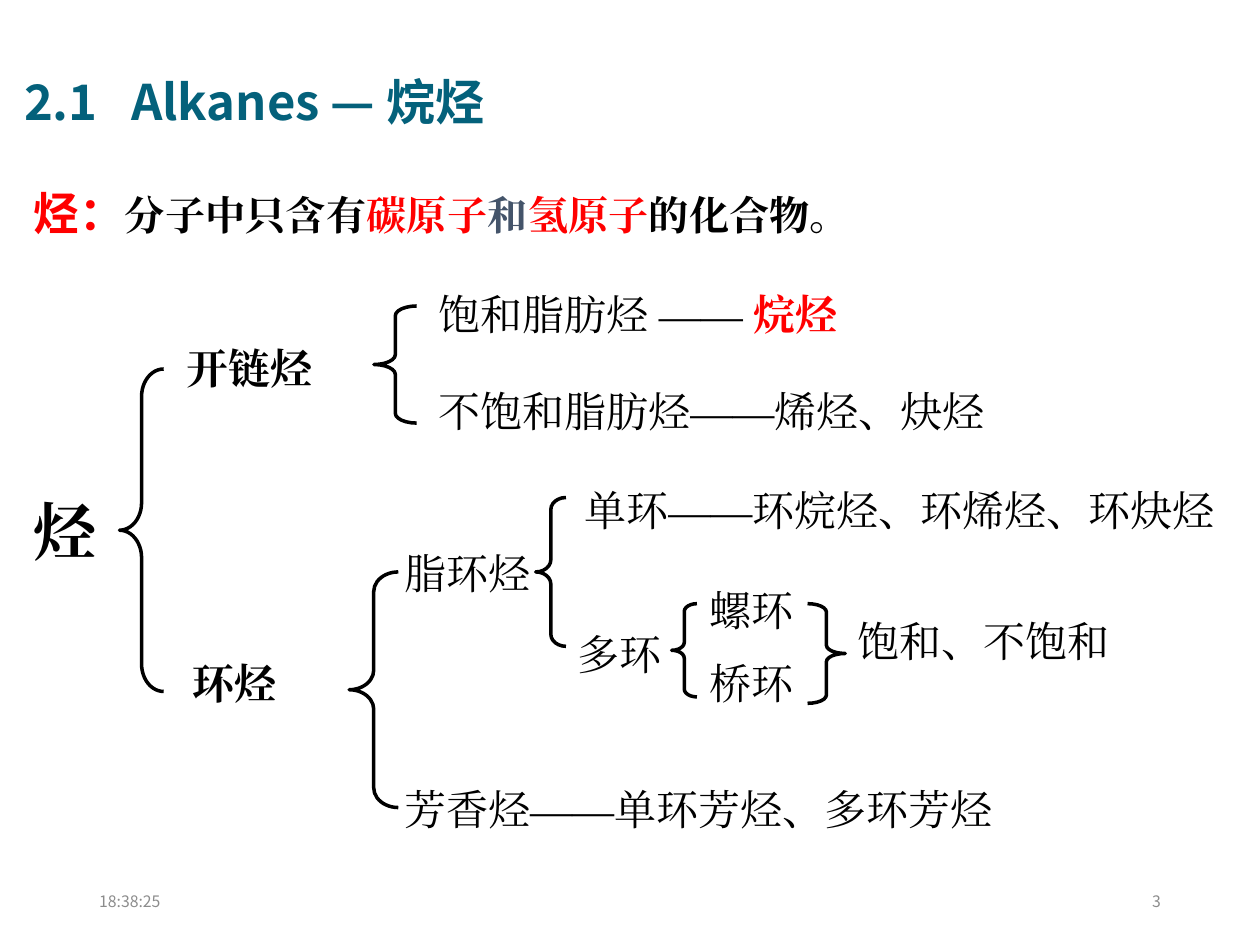
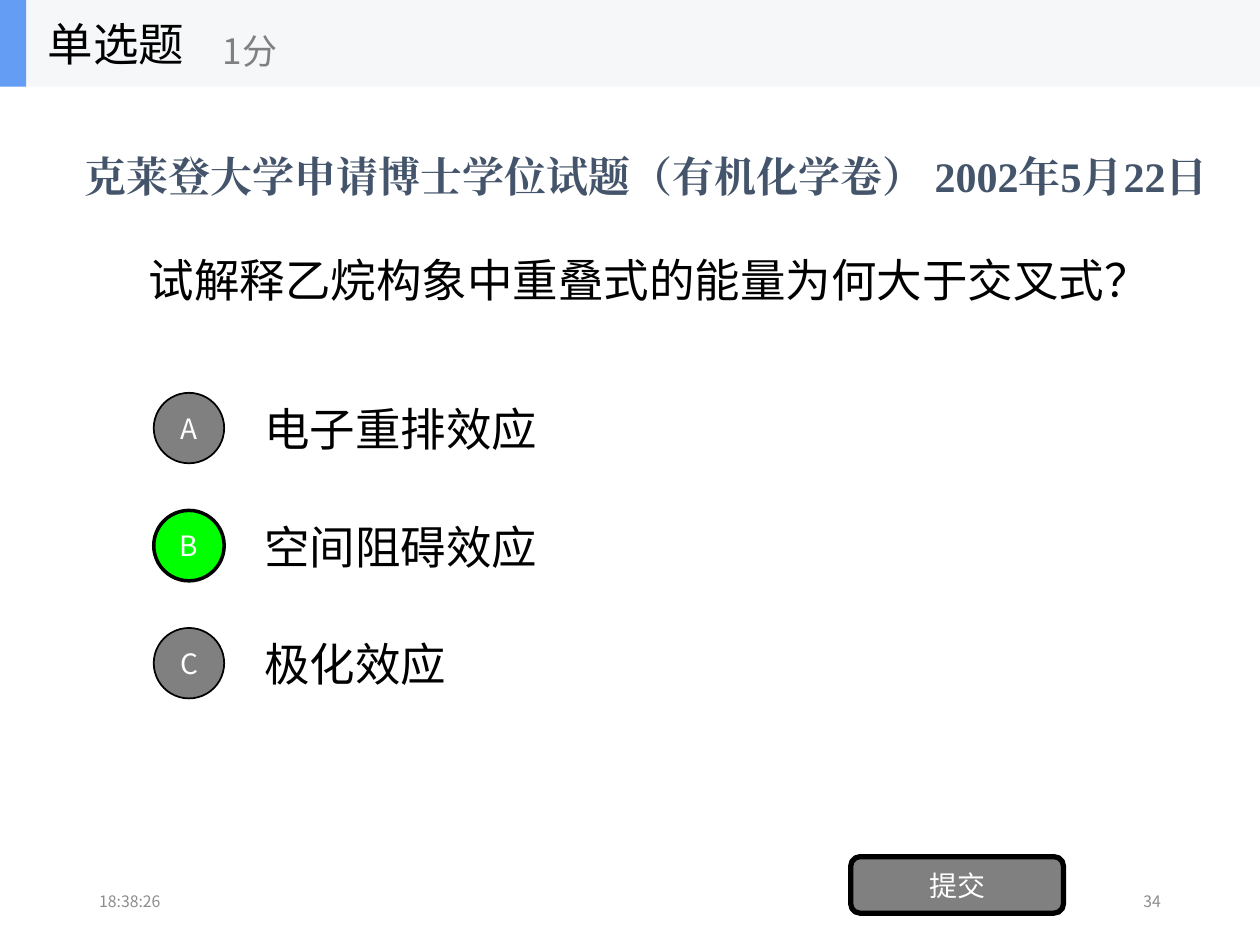
"""Build two organic chemistry slides: a hydrocarbon tree and a quiz."""
from lxml.etree import SubElement
from pptx import Presentation
from pptx.dml.color import RGBColor
from pptx.enum.shapes import MSO_SHAPE as Shape
from pptx.enum.text import MSO_ANCHOR as Anchor, MSO_AUTO_SIZE as Auto, PP_ALIGN as Align
from pptx.oxml.ns import qn
from pptx.util import Cm, Pt

SANS, SERIF = "Noto Sans CJK SC", "Times New Roman"
BLACK, WHITE, RED = "000000", "FFFFFF", "FF0000"
GRAY, SLATE, TEAL, GREEN = "808080", "44546A", "04617B", "00FF00"
PALE, BLUE, FOOT = "F6F7F8", "639EF4", "8C8C8C"

LABELS = [
    ("烃", (0.43, 9.8, 1.63, 1.78), 36, True),
    ("开链烃", (3.51, 6.78, 4.37, 1.27), 24, True),
    ("环烃", (3.63, 13.13, 3.71, 1.27), 24, True),
    ("脂环烃", (7.9, 10.92, 3.12, 1.27), 24, False),
    ("芳香烃——单环芳烃、多环芳烃", (7.9, 15.67, 15.27, 1.27), 24, False),
    ("单环——环烷烃、环烯烃、环炔烃", (11.53, 9.65, 13.39, 1.27), 24, False),
    ("多环", (11.4, 12.55, 2.49, 1.27), 24, False),
    ("饱和、不饱和", (17.04, 12.29, 5.87, 1.27), 24, False),
]
BRACES = [
    (Shape.LEFT_BRACE, (2.41, 7.44, 0.89, 6.5), 0.62),
    (Shape.LEFT_BRACE, (7.54, 6.17, 0.86, 2.36), 0.23),
    (Shape.LEFT_BRACE, (7.04, 11.53, 0.99, 4.75), 0.4),
    (Shape.LEFT_BRACE, (10.8, 10.03, 0.61, 3), 0.4),
    (Shape.LEFT_BRACE, (13.54, 12.17, 0.51, 1.88), 0.31),
    (Shape.RIGHT_BRACE, (16.28, 12.17, 0.76, 2.01), 0.22),
]
CHOICES = [("A", "电子重排效应", GRAY, 1), ("B", "空间阻碍效应", GREEN, 2),
           ("C", "极化效应", GRAY, 1)]


def rgb(code):
    return RGBColor.from_string(code)


def style(font, size, face=SANS, hue=BLACK, bold=False):
    font.size, font.name, font.bold = Pt(size), face, bold
    font.color.rgb = rgb(hue)
    props = font._rPr
    props.set("lang", "zh-CN")
    SubElement(props, qn("a:ea"), typeface=face)


def write(frame, rows, size, face=SANS, hue=BLACK, bold=False,
          align=Align.LEFT, anchor=Anchor.TOP, gap=0):
    """Fill a frame; a row is a string or a list of (text, style) runs."""
    frame.word_wrap, frame.auto_size = True, Auto.NONE
    frame.vertical_anchor = anchor
    for i, row in enumerate(rows):
        para = frame.paragraphs[0] if i == 0 else frame.add_paragraph()
        para.alignment = align
        para.space_before = Pt(gap if i else 0)
        if isinstance(row, str):
            para.add_run().text = row
            style(para.font, size, face, hue, bold)
            continue
        for words, look in row:
            run = para.add_run()
            run.text = words
            style(run.font, **{"size": size, "face": face, "hue": hue, "bold": bold, **look})


def label(slide, box, rows, size, **look):
    area = slide.shapes.add_textbox(*map(Cm, box))
    write(area.text_frame, rows, size, **look)


def title(slide, box, words, size, **look):
    head = slide.shapes.title
    head.left, head.top, head.width, head.height = map(Cm, box)
    write(head.text_frame, [words], size, **look)
    return head.text_frame.paragraphs[0]


def block(slide, kind, box, fill=None, line=0):
    item = slide.shapes.add_shape(kind, *map(Cm, box))
    item.shadow.inherit = False
    if fill:
        item.fill.solid()
        item.fill.fore_color.rgb = rgb(fill)
    else:
        item.fill.background()
    if line:
        item.line.color.rgb = rgb(BLACK)
        item.line.width = Pt(line)
    else:
        item.line.fill.background()
    return item


def button(slide, kind, box, words, fill, line):
    item = block(slide, kind, box, fill, line)
    frame = item.text_frame
    frame.margin_left = frame.margin_right = 0
    write(frame, [words], 16, hue=WHITE, align=Align.CENTER, anchor=Anchor.MIDDLE)
    return item


def footer(slide, time, page):
    for left, words, align in ((1.75, time, Align.LEFT), (17.93, page, Align.RIGHT)):
        label(slide, (left, 17.65, 5.72, 1.02), [words], 9, hue=FOOT,
              align=align, anchor=Anchor.MIDDLE)


def tree(slide):
    para = title(slide, (0.23, 1.07, 10.57, 1.7), "2.1\tAlkanes — 烷烃", 28, hue=TEAL, bold=True)
    para.line_spacing = 1.2
    props = para._p.get_or_add_pPr()
    props.set("marL", str(Cm(2.16)))
    props.set("indent", str(-Cm(2.16)))

    red = {"hue": RED}
    label(slide, (0.43, 3.61, 17.9, 1.37), [[
        ("烃：", {"size": 26, "face": "Arial", "hue": RED}), ("分子中只含有", {}),
        ("碳原子", red), ("和", {"hue": SLATE}), ("氢原子", red), ("的化合物。", {}),
    ]], 23, face=SERIF, bold=True)
    for words, box, size, bold in LABELS:
        label(slide, box, [words], size, face=SERIF, bold=bold)
    label(slide, (8.59, 5.69, 12.37, 4.88), [
        [("饱和脂肪烃 —— ", {}), ("烷烃", {"hue": RED, "bold": True})],
        "不饱和脂肪烃——烯烃、炔烃",
    ], 24, face=SERIF, gap=26.5)
    label(slide, (14.05, 11.66, 2.62, 2.79), ["螺环", "桥环"], 24, face=SERIF, gap=13)
    for kind, box, bend in BRACES:
        brace = block(slide, kind, box, line=2)
        brace.adjustments[0] = bend
    footer(slide, "18:38:25", "3")


def quiz(slide):
    mid = Anchor.MIDDLE
    title(slide, (2.74, 2.67, 20.32, 5.94), "试解释乙烷构象中重叠式的能量为何大于交叉式？", 26, anchor=mid)
    for i, (mark, words, fill, line) in enumerate(CHOICES):
        drop = i * 2.37
        label(slide, (5.08, 7.75 + drop, 17.78, 1.78), [words], 26, anchor=mid)
        button(slide, Shape.OVAL, (3.1, 7.92 + drop, 1.42, 1.42), mark, fill, line)
    button(slide, Shape.ROUNDED_RECTANGLE, (17.15, 17.27, 4.29, 1.14), "提交", GRAY, 3)
    label(slide, (1.27, 2.9, 23.5, 1.3), ["克莱登大学申请博士学位试题（有机化学卷） 2002年5月22日"],
          24, face=SERIF, hue=SLATE, bold=True, align=Align.CENTER)
    footer(slide, "18:38:26", "34")
    block(slide, Shape.RECTANGLE, (0, 0, 25.4, 1.75), PALE)
    block(slide, Shape.RECTANGLE, (0, 0, 0.53, 1.75), BLUE)
    label(slide, (0.71, 0, 5.28, 1.75), ["单选题"], 26, anchor=mid)
    label(slide, (4.24, 0.3, 6.35, 1.42), ["1分"], 20, hue=GRAY, anchor=mid)


def main():
    deck = Presentation()
    deck.slide_width, deck.slide_height = Cm(25.4), Cm(19.05)
    for draw in (tree, quiz):
        draw(deck.slides.add_slide(deck.slide_layouts[5]))
    deck.save("out.pptx")


if __name__ == "__main__":
    main()
